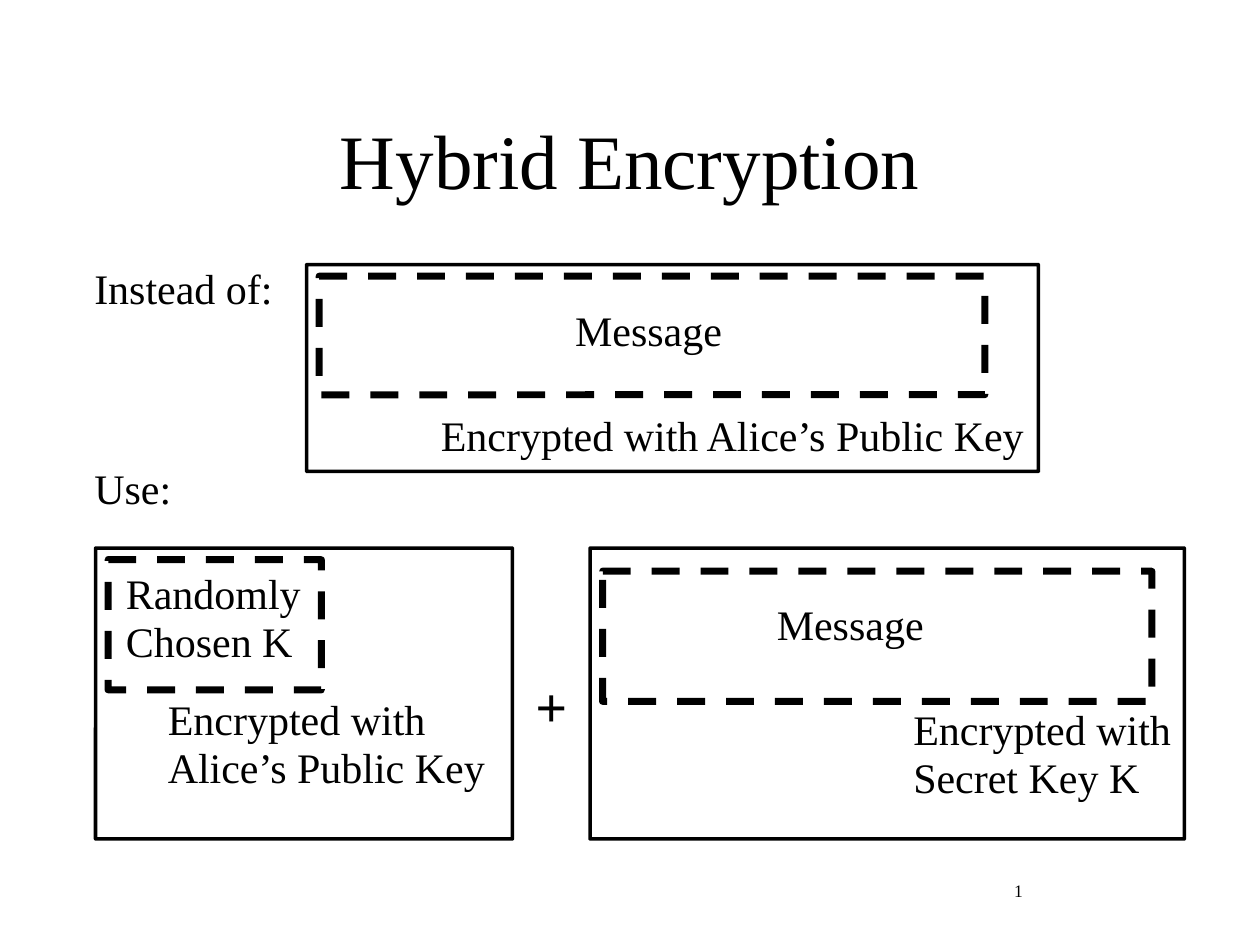
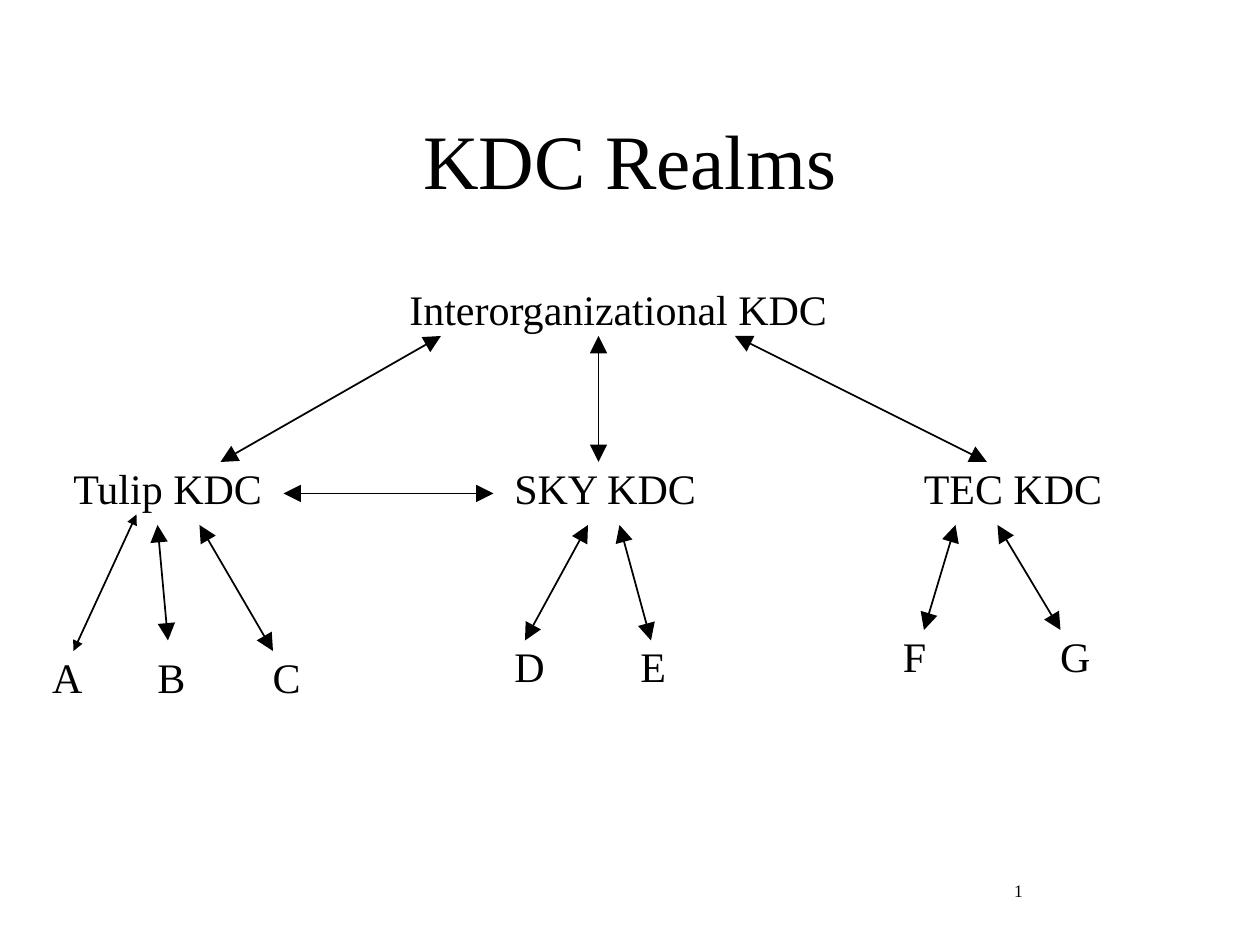
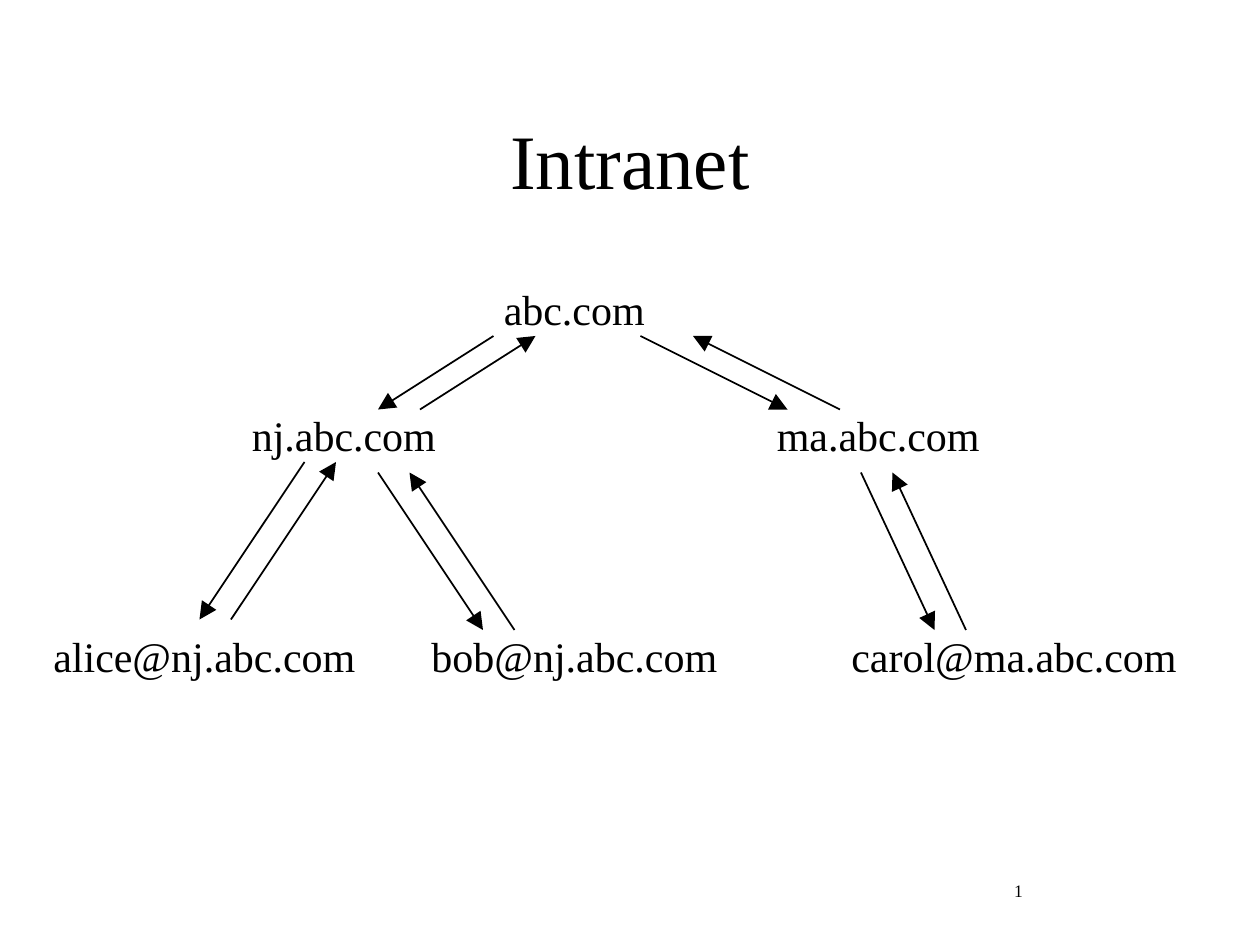
from pptx import Presentation
from pptx.dml.color import RGBColor
from pptx.enum.dml import MSO_LINE_DASH_STYLE as Dash
from pptx.enum.shapes import MSO_CONNECTOR as Link, MSO_SHAPE as Form
from pptx.enum.text import MSO_ANCHOR as Anchor, MSO_AUTO_SIZE as Fit, PP_ALIGN as Align
from pptx.oxml.xmlchemy import OxmlElement
from pptx.util import Inches, Pt

BLACK = RGBColor(0, 0, 0)
WHITE = RGBColor(255, 255, 255)
FONT = "Times New Roman"

deck = Presentation()
deck.slide_width, deck.slide_height = Inches(10), Inches(7.5)
COLS = 120
unit = deck.slide_width / COLS
PAD_X, RISE = 1.2, 0.2
LINE_H, LEAD = 5.8, 4.8

TITLE = {"size": Pt(44), "bold": False}
BODY = {"size": Pt(24), "bold": False}
PLUS = {"size": Pt(32), "bold": True}
NOTE = {"size": Pt(10), "bold": False}


def write(box, text, look, align=Align.LEFT, anchor=Anchor.TOP, wrap=False):
    frame = box.text_frame
    frame.text = text
    style = {"word_wrap": wrap, "auto_size": Fit.NONE, "vertical_anchor": anchor,
             "margin_left": Inches(0.1), "margin_right": Inches(0.1),
             "margin_top": Inches(0.05), "margin_bottom": Inches(0.05)}
    for key, val in style.items():
        setattr(frame, key, val)
    for para in frame.paragraphs:
        para.alignment, para.line_spacing = align, 0.95
        para.space_before = para.space_after = Pt(0)
        for run in para.runs:
            for key, val in {"name": FONT, **look}.items():
                setattr(run.font, key, val)
            run.font.color.rgb = BLACK


def arrow(slide, ends, tips, size="lg"):
    line = slide.shapes.add_connector(Link.STRAIGHT, *[round(n * unit) for n in ends])
    line.line.color.rgb = BLACK
    line.line.width = Pt(1)
    stroke = line.line._get_or_add_ln()
    for tip in tips:
        end = OxmlElement("a:" + tip)
        for key, val in {"type": "triangle", "w": size, "len": size}.items():
            end.set(key, val)
        stroke.append(end)
    line._element.spPr.append(OxmlElement("a:effectLst"))


frames = [
    (29.2, 25.2, 69.7, 19.7, False), (30.4, 26.3, 63.4, 11.3, True),
    (9.1, 52.2, 39.7, 27.7, False), (10.3, 53.3, 20.3, 12.4, True),
    (56.2, 52.2, 56.6, 27.7, False), (57.4, 54.4, 52.3, 12.4, True),
]

pages = [
    ("Hybrid Encryption", [
        (9, 25, 19.4, "Instead of:"), (54.8, 29, 17.5, "Message"),
        (42, 39, 58.4, "Encrypted with Alice’s Public Key"),
        (9, 44, 9.7, "Use:"), (12, 54, 19.1, "Randomly\nChosen K"),
        (16, 66, 32.9, "Encrypted with\nAlice’s Public Key"),
        (74, 57, 16.4, "Message"), (87, 67, 27, "Encrypted with\nSecret Key K"),
        (51, 64, 5.5, "+"),
    ]),
    ("KDC Realms", [
        (39, 27, 42.4, "Interorganizational KDC"), (7, 44, 21, "Tulip KDC"),
        (49, 44, 19.9, "SKY KDC"), (88, 44, 19.2, "TEC KDC"),
        (5, 62, 5.3, "A"), (15, 62, 5, "B"), (26, 62, 5, "C"),
        (49, 61, 5.3, "D"), (61, 61, 4.9, "E"),
        (86, 60, 4.7, "F"), (101, 60, 5.3, "G"),
    ]),
    ("Intranet", [
        (48, 27, 15.8, "abc.com"), (24, 39, 19.9, "nj.abc.com"),
        (74, 39, 21.7, "ma.abc.com"), (5.1, 60, 31.2, "alice@nj.abc.com"),
        (41.1, 60, 29.6, "bob@nj.abc.com"), (81.1, 60, 33.5, "carol@ma.abc.com"),
    ]),
]

slides = []
for name, labels in pages:
    slide = deck.slides.add_slide(deck.slide_layouts[5])
    slides.append(slide)
    slide.background.fill.solid()
    slide.background.fill.fore_color.rgb = WHITE
    title = slide.shapes.title
    place = {"left": 9, "top": 8, "width": 102, "height": 15}
    for key, val in place.items():
        setattr(title, key, round(val * unit))
    write(title, name, TITLE, Align.CENTER, Anchor.MIDDLE, True)
    page = slide.shapes.add_textbox(*[round(n * unit) for n in (95.4, 83.4, 3.2, 3.1)])
    write(page, "1", NOTE, Align.RIGHT, Anchor.MIDDLE)
    for col, row, wide, text in labels:
        high = LINE_H + LEAD * text.count("\n")
        look = BODY
        if text == "+":
            look, high = PLUS, 7.3
        area = (col - PAD_X, row - RISE, wide, high)
        box = slide.shapes.add_textbox(*[round(n * unit) for n in area])
        write(box, text, look)

hybrid, realms, net = slides

for *area, dashed in frames:
    box = hybrid.shapes.add_shape(Form.ROUNDED_RECTANGLE, *[round(n * unit) for n in area])
    box.adjustments[0] = 0.001
    box.shadow.inherit = False
    box.fill.background()
    box.line.color.rgb = BLACK
    box.line.width = Pt(4 if dashed else 2)
    if dashed:
        box.line.dash_style = Dash.DASH

both = ("headEnd", "tailEnd")
arrow(realms, (7, 62, 13, 49), both, "med")
for ends in [
    (16, 61, 15, 50), (19, 50, 26, 62), (56, 50, 50, 61), (59, 50, 62, 61),
    (91, 50, 88, 60), (95, 50, 101, 60), (42, 32, 21, 44), (57, 32, 57, 44),
    (70, 32, 94, 44), (27, 47, 47, 47),
]:
    arrow(realms, ends, both)

for left, top, right, base, gap in [
    (47, 32, 36, 39, 4), (61, 32, 75, 39, 5), (29, 44, 19, 59, 3),
    (36, 45, 46, 60, 3), (82, 45, 89, 60, 3),
]:
    arrow(net, (left, top, right, base), ("tailEnd",))
    arrow(net, (left + gap, top, right + gap, base), ("headEnd",))

deck.save("out.pptx")
